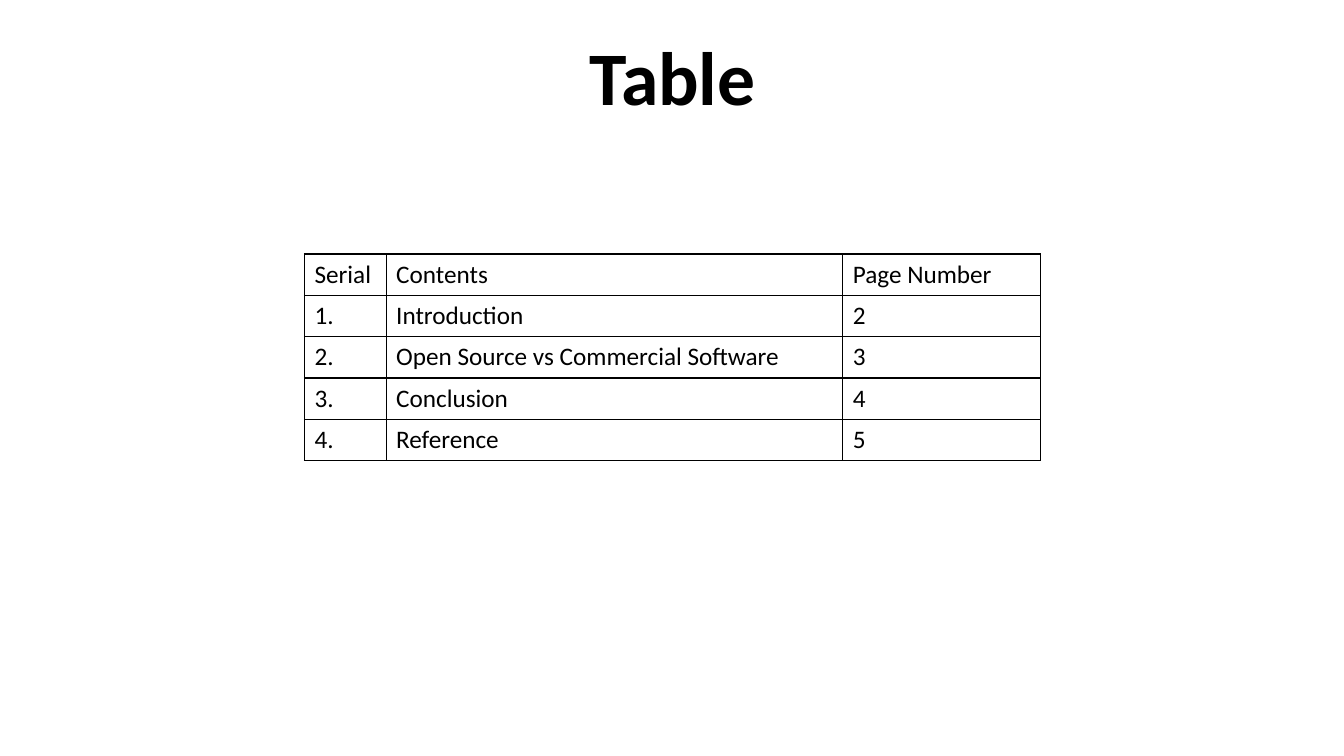
from dataclasses import dataclass

from lxml import etree
from pptx import Presentation
from pptx.dml.color import RGBColor
from pptx.enum.text import MSO_ANCHOR, MSO_AUTO_SIZE, PP_ALIGN
from pptx.oxml.ns import qn
from pptx.util import Inches, Pt

BOTTOM, TOP = MSO_ANCHOR.BOTTOM, MSO_ANCHOR.TOP
NO_AUTOFIT = MSO_AUTO_SIZE.NONE
CENTER = PP_ALIGN.CENTER
TITLE_ONLY = 5


@dataclass(frozen=True)
class Theme:
    """Colours, font and type sizes of the slide."""
    font: str = "Calibri"
    ink: str = "000000"
    paper: str = "FFFFFF"
    title_size: int = 54
    cell_size: int = 18
    border_width: int = 1


THEME = Theme()

CONTENTS = [
    ("Serial", "Contents", "Page Number"),
    ("1.", "Introduction", "2"),
    ("2.", "Open Source vs Commercial Software", "3"),
    ("3.", "Conclusion", "4"),
    ("4.", "Reference", "5"),
]
COLUMN_WIDTHS = (0.81, 4.53, 1.96)
ROW_HEIGHT = 0.41


def set_attrs(target, values):
    """Set each named attribute of target."""
    for name, value in values.items():
        setattr(target, name, value)


def write_text(tf, text, size, bold=False):
    """Put one styled run in the text frame and return its paragraph."""
    p = tf.paragraphs[0]
    r = p.add_run()
    r.text = text
    set_attrs(r.font, {"name": THEME.font, "size": Pt(size), "bold": bold})
    r.font.color.rgb = RGBColor.from_string(THEME.ink)
    return p


def add_title(s, text, left, top, width, height):
    """Place and fill the title placeholder."""
    sp = s.shapes.title
    set_attrs(sp, {"left": Inches(left), "top": Inches(top),
                   "width": Inches(width), "height": Inches(height)})
    set_attrs(sp.text_frame, {"vertical_anchor": BOTTOM, "word_wrap": True,
                              "auto_size": NO_AUTOFIT})
    p = write_text(sp.text_frame, text, THEME.title_size, bold=True)
    set_attrs(p, {"alignment": CENTER, "line_spacing": 0.9})


def set_borders(cell):
    """Draw a solid line on all four sides of the cell."""
    tc_pr = cell._tc.get_or_add_tcPr()
    for i, side in enumerate(("lnL", "lnR", "lnT", "lnB")):
        ln = etree.Element(qn(f"a:{side}"), w=str(Pt(THEME.border_width)))
        fill = etree.SubElement(ln, qn("a:solidFill"))
        etree.SubElement(fill, qn("a:srgbClr"), val=THEME.ink)
        tc_pr.insert(i, ln)


def add_contents_table(s, rows, left, top):
    """Add the bordered table of contents."""
    frame = s.shapes.add_table(
        len(rows), len(COLUMN_WIDTHS), Inches(left), Inches(top),
        Inches(sum(COLUMN_WIDTHS)), Inches(ROW_HEIGHT * len(rows)))
    table = frame.table
    set_attrs(table, {"first_row": False, "horz_banding": False})
    for column, width in zip(table.columns, COLUMN_WIDTHS):
        column.width = Inches(width)
    for row, texts in zip(table.rows, rows):
        row.height = Inches(ROW_HEIGHT)
        for cell, text in zip(row.cells, texts):
            cell.vertical_anchor = TOP
            cell.fill.solid()
            cell.fill.fore_color.rgb = RGBColor.from_string(THEME.paper)
            set_borders(cell)
            write_text(cell.text_frame, text, THEME.cell_size)


def main():
    """Build the slide and save it."""
    prs = Presentation()
    set_attrs(prs, {"slide_width": Inches(13.33), "slide_height": Inches(7.5)})
    s = prs.slides.add_slide(prs.slide_layouts[TITLE_ONLY])
    add_title(s, "Table", 1.67, 0.35, 10, 0.91)
    add_contents_table(s, CONTENTS, 3.02, 2.52)
    prs.save("out.pptx")


main()
